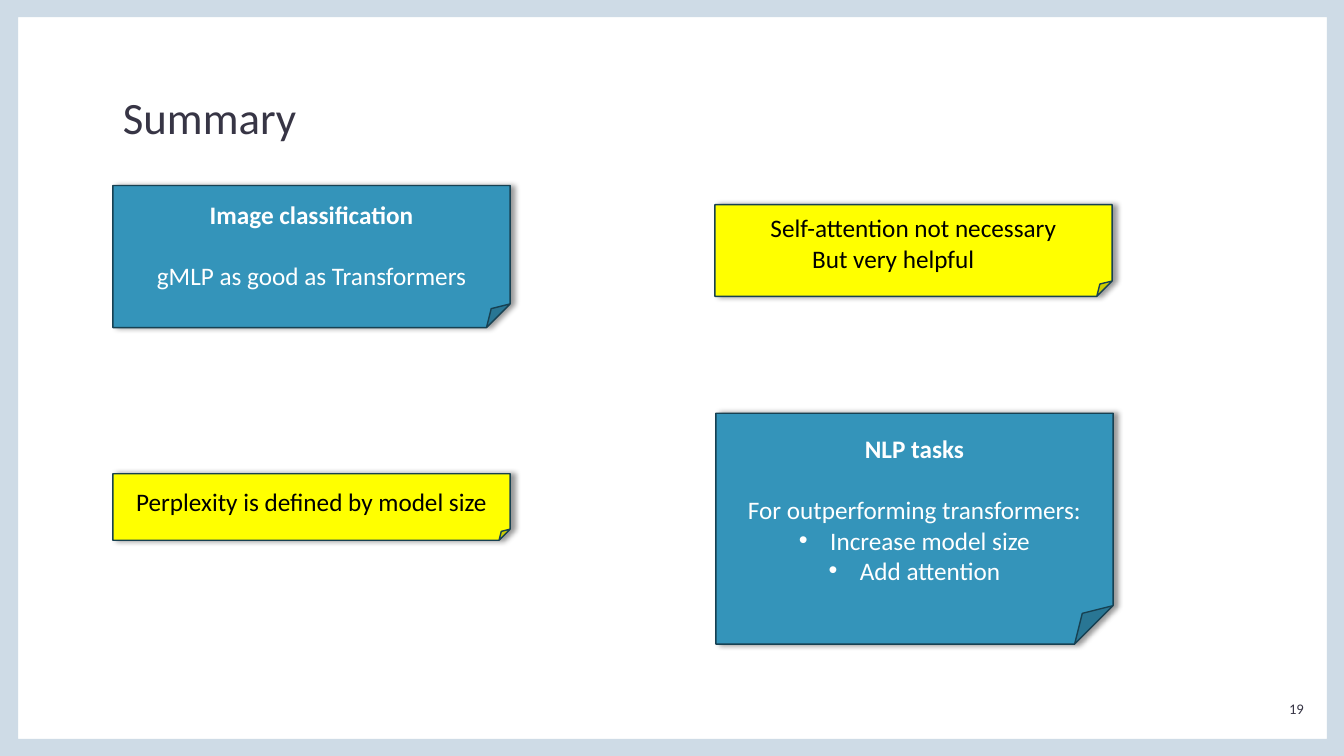
from lxml.etree import SubElement
from pptx import Presentation
from pptx.dml.color import RGBColor
from pptx.enum.shapes import MSO_SHAPE
from pptx.enum.text import MSO_ANCHOR, PP_ALIGN
from pptx.oxml.ns import qn
from pptx.util import Inches, Pt

FRAME = RGBColor(0xCE, 0xDB, 0xE6)
INK = RGBColor(0x37, 0x35, 0x45)
BLUE = RGBColor(0x34, 0x94, 0xBA)
YELLOW = RGBColor(0xFF, 0xFF, 0x00)
OUTLINE = RGBColor(0x17, 0x41, 0x52)
WHITE = RGBColor(0xFF, 0xFF, 0xFF)
BLACK = RGBColor(0x00, 0x00, 0x00)
FONT = "Calibri"

# Content
SLIDE_W, SLIDE_H = 13.33, 7.5
NOTE_W = 3.94
BULLET_INDENT = 0.31
SHIFT = 0.4  # moves the second line of the attention note to the left

LABELS = [  # text, box, size, alignment, anchor, line spacing
    ("Summary", (1.12, 0.79, 11.08, 1.41), 32, PP_ALIGN.LEFT, MSO_ANCHOR.TOP, 1.1),
    ("19", (12.46, 6.83, 0.57, 0.4), 10.5, PP_ALIGN.RIGHT, MSO_ANCHOR.MIDDLE, 1.0),
]
NOTES = [  # left, top, height, fill, text colour, lines as (kind, text)
    (1.12, 1.84, 1.41, BLUE, WHITE, [
        ("heading", "Image classification"),
        ("plain", "gMLP as good as Transformers")]),
    (7.1, 4.1, 2.29, BLUE, WHITE, [
        ("heading", "NLP tasks"),
        ("plain", "For outperforming transformers:"),
        ("bullet", "Increase model size"),
        ("bullet", "Add attention")]),
    (1.12, 4.7, 0.66, YELLOW, BLACK, [
        ("plain", "Perplexity is defined by model size")]),
    (7.09, 2.03, 0.91, YELLOW, BLACK, [
        ("plain", "Self-attention not necessary"),
        ("shifted", "But very helpful")]),
]


def style(p, size, color, bold=False):
    for r in p.runs:
        r.font.name, r.font.size, r.font.bold = FONT, Pt(size), bold
        r.font.color.rgb = color


def add_shadow(sp):
    sp.shadow.inherit = False
    effects = sp._element.spPr.find(qn("a:effectLst"))
    shadow = SubElement(effects, qn("a:outerShdw"), blurRad=str(Pt(4)),
                        dist=str(Pt(3)), dir="0", algn="l", rotWithShape="0")
    color = SubElement(shadow, qn("a:srgbClr"), val="000000")
    SubElement(color, qn("a:alpha"), val="40000")


def add_bullet(p):
    pPr = p._p.get_or_add_pPr()
    pPr.set("marL", str(Inches(BULLET_INDENT)))
    pPr.set("indent", str(-Inches(BULLET_INDENT)))
    SubElement(pPr, qn("a:buFont"), typeface="Arial")
    SubElement(pPr, qn("a:buChar"), char="•")


def add_frame(s):
    x, y = 0.18, 0.17
    right, bottom = 13.16, 7.33
    fb = s.shapes.build_freeform(Inches(x), Inches(y), scale=1.0)
    inner = [(x, bottom), (right, bottom), (right, y)]
    outer = [(SLIDE_W, 0), (SLIDE_W, SLIDE_H), (0, SLIDE_H)]
    fb.add_line_segments([(Inches(a), Inches(b)) for a, b in inner])
    fb.move_to(0, 0)
    fb.add_line_segments([(Inches(a), Inches(b)) for a, b in outer])
    sp = fb.convert_to_shape()
    sp.shadow.inherit = False
    sp.fill.solid()
    sp.fill.fore_color.rgb = FRAME
    sp.line.fill.background()


def add_label(s, text, box, size, align, anchor, spacing):
    tf = s.shapes.add_textbox(*map(Inches, box)).text_frame
    tf.word_wrap, tf.vertical_anchor = True, anchor
    tf.text = text
    p = tf.paragraphs[0]
    p.alignment, p.line_spacing = align, spacing
    style(p, size, INK)


def add_note(s, left, top, height, fill, color, lines):
    sp = s.shapes.add_shape(MSO_SHAPE.FOLDED_CORNER, Inches(left), Inches(top),
                            Inches(NOTE_W), Inches(height))
    sp.fill.solid()
    sp.fill.fore_color.rgb = fill
    sp.line.color.rgb, sp.line.width = OUTLINE, Pt(1)
    add_shadow(sp)
    tf = sp.text_frame
    tf.word_wrap, tf.vertical_anchor = True, MSO_ANCHOR.MIDDLE
    tf.text = "\n".join(text for _, text in lines)
    has_shift = any(kind == "shifted" for kind, _ in lines)
    if has_shift:
        tf.margin_right = Inches(0.1 + SHIFT)
    for p, (kind, _) in zip(tf.paragraphs, lines):
        p.alignment = PP_ALIGN.CENTER
        style(p, 18, color, kind == "heading")
        if kind == "heading":
            p.space_after = Pt(22)
        elif kind == "bullet":
            add_bullet(p)
        elif has_shift and kind == "plain":
            p._p.get_or_add_pPr().set("marL", str(Inches(SHIFT)))


# Slide
prs = Presentation()
prs.slide_width, prs.slide_height = Inches(SLIDE_W), Inches(SLIDE_H)
s = prs.slides.add_slide(prs.slide_layouts[6])
add_frame(s)
for label in LABELS:
    add_label(s, *label)
for note in NOTES:
    add_note(s, *note)
prs.save("out.pptx")
